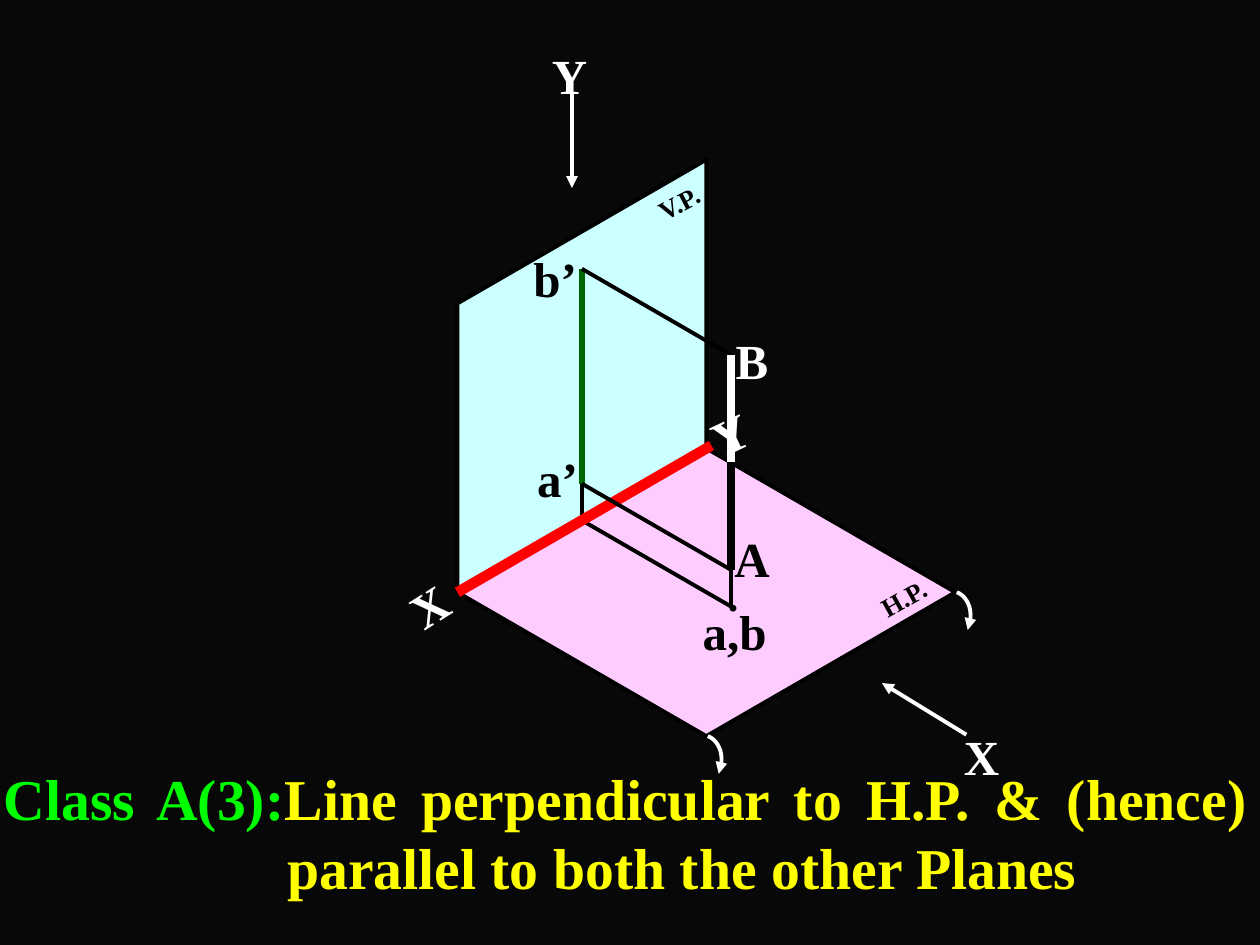
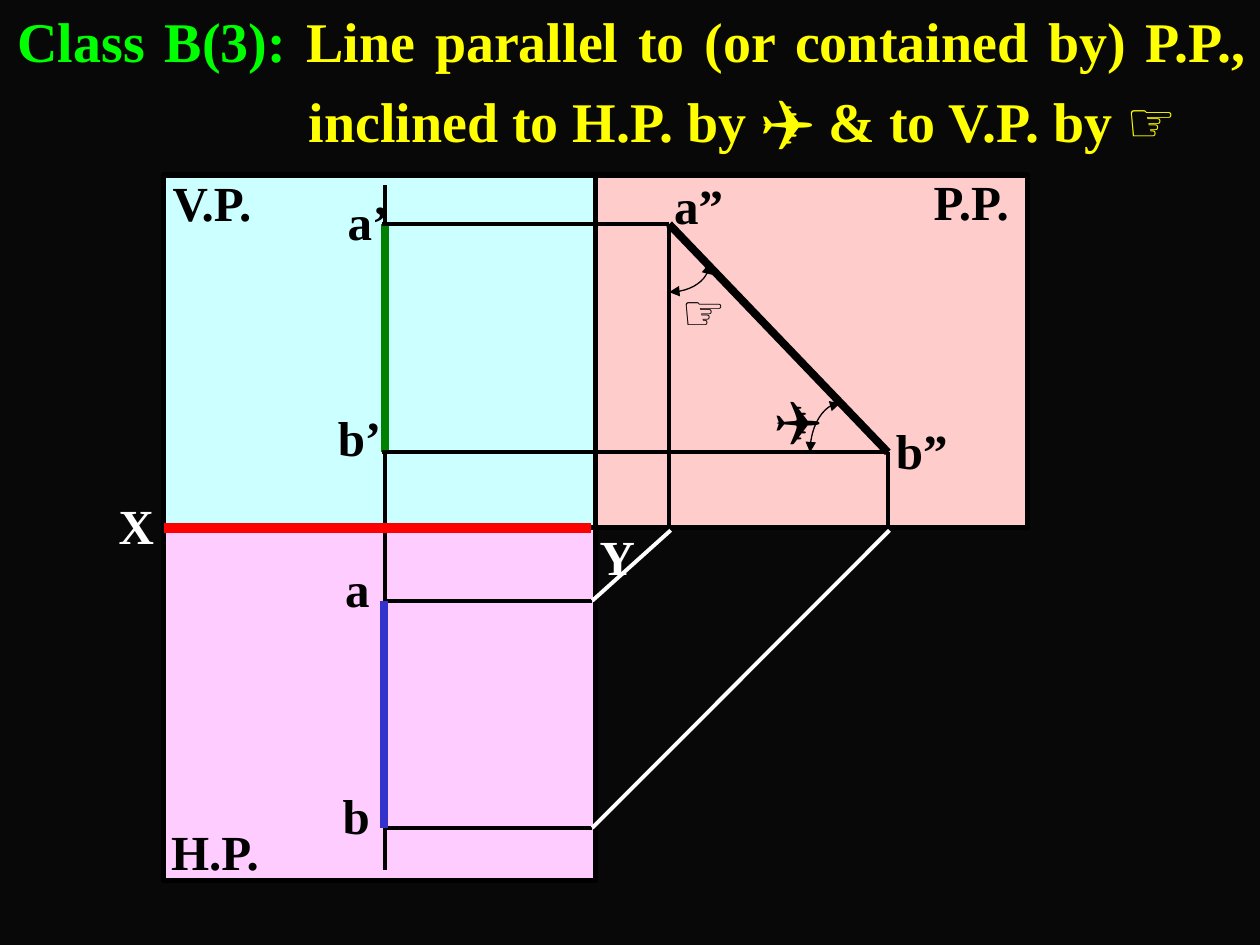
from lxml import etree
from pptx import Presentation
from pptx import util as u
from pptx.dml import color as dml
from pptx.enum import shapes, text
from pptx.oxml import ns

BLACK, WHITE, RED = "000000", "FFFFFF", "FF0000"
VP_FILL, HP_FILL, PP_FILL = "CCFFFF", "FFCCFF", "FFCCCC"
SERIF, SYMBOL = "Times New Roman", "Arial"
LABEL_W, LABEL_H = 2.6, 1.45
LABEL_FRAME = dict(margin_left=0, margin_right=0, margin_top=0, margin_bottom=0,
                   word_wrap=True, vertical_anchor=text.MSO_ANCHOR.MIDDLE)
TITLE_FRAME = dict(margin_left=u.Cm(0.25), margin_right=u.Cm(0.25),
                   margin_top=u.Cm(0.13), margin_bottom=u.Cm(0.13),
                   word_wrap=True, auto_size=text.MSO_AUTO_SIZE.NONE,
                   vertical_anchor=text.MSO_ANCHOR.TOP)


def rgb(code):
    return dml.RGBColor.from_string(code)


def apply(target, values):
    for name, value in values.items():
        setattr(target, name, value)


def place(shape, left, top, width, height):
    apply(shape, dict(left=u.Cm(left), top=u.Cm(top),
                      width=u.Cm(width), height=u.Cm(height)))


def style_font(font, size, color, name=SERIF):
    apply(font, dict(size=u.Pt(size), name=name, bold=True))
    font.color.rgb = rgb(color)


def style_line(shape, color, weight, arrows=()):
    """Colour the outline; arrows names the ends (headEnd, tailEnd) with a tip."""
    shape.line.color.rgb = rgb(color)
    shape.line.width = u.Pt(weight)
    outline = shape.line._get_or_add_ln()
    for end in arrows:
        etree.SubElement(outline, ns.qn("a:" + end), type="triangle")


def add_title(slide, box, size, indent, runs, spacing=1.0):
    """Runs are (words, colour, font); indent is (left margin, first line)."""
    title = slide.shapes.title
    place(title, *box)
    apply(title.text_frame, TITLE_FRAME)
    paragraph = title.text_frame.paragraphs[0]
    apply(paragraph, dict(alignment=text.PP_ALIGN.JUSTIFY, line_spacing=spacing))
    margin, first = indent
    properties = paragraph._p.get_or_add_pPr()
    properties.set("marL", str(u.Cm(margin)))
    properties.set("indent", str(u.Cm(first)))
    for words, color, name in runs:
        run = paragraph.add_run()
        run.text = words
        style_font(run.font, size, color, name)


class Drawing:
    """Draws on a slide in cm, measured from the corner it is given."""

    def __init__(self, slide, left, top):
        self.shapes = slide.shapes
        self.left, self.top = left, top

    def at(self, point):
        return u.Cm(self.left + point[0]), u.Cm(self.top + point[1])

    def line(self, start, end, color=BLACK, weight=2.25, arrows=()):
        connector = self.shapes.add_connector(
            shapes.MSO_CONNECTOR.STRAIGHT, *self.at(start), *self.at(end))
        style_line(connector, color, weight, arrows)
        etree.SubElement(connector._element.spPr, ns.qn("a:effectLst"))

    def outline(self, points, closed):
        start, *rest = [self.at(point) for point in points]
        builder = self.shapes.build_freeform(*start, scale=1.0)
        builder.add_line_segments(rest, close=closed)
        shape = builder.convert_to_shape()
        shape.shadow.inherit = False
        return shape

    def plane(self, corners, fill, weight):
        plane = self.outline(corners, True)
        plane.fill.solid()
        plane.fill.fore_color.rgb = rgb(fill)
        style_line(plane, BLACK, weight)

    def curve(self, controls, color, weight, arrows, steps=12):
        """Cubic Bézier curve through four control points."""
        points = []
        for step in range(steps + 1):
            t = step / steps
            weights = ((1 - t) ** 3, 3 * t * (1 - t) ** 2, 3 * t * t * (1 - t), t ** 3)
            points.append([sum(w * c[axis] for w, c in zip(weights, controls))
                           for axis in (0, 1)])
        arc = self.outline(points, False)
        arc.fill.background()
        style_line(arc, color, weight, arrows)

    def label(self, words, x, y, color=BLACK, size=28, turn=0, font=SERIF, centred=False):
        """Put words around height y, starting at x or centred on x."""
        left = x - LABEL_W / 2 if centred else x
        box = self.shapes.add_textbox(*self.at((left, y - LABEL_H / 2)),
                                      u.Cm(LABEL_W), u.Cm(LABEL_H))
        box.rotation = turn
        apply(box.text_frame, LABEL_FRAME)
        paragraph = box.text_frame.paragraphs[0]
        paragraph.alignment = text.PP_ALIGN.CENTER if centred else text.PP_ALIGN.LEFT
        run = paragraph.add_run()
        run.text = words
        style_font(run.font, size, color, font)


def iso(along, depth, height=0):
    """Along and depth are shares of the plane's sides, height is in cm."""
    return 5.02 * (along + depth), 2.9 * (depth - along) - height


def draw_planes_in_space(slide, left, top):
    """Pictorial view; left, top is the X end of the fold line."""
    view = Drawing(slide, left, top)
    vp_height, low, high = 5.82, 0.74, 5.07
    along, depth = 0.5, 0.6
    foot, plan = iso(along, 0), iso(along, depth)
    a_front, b_front = iso(along, 0, low), iso(along, 0, high)
    a_space, b_space = iso(along, depth, low), iso(along, depth, high)

    view.plane([iso(0, 0), iso(1, 0), iso(1, 1), iso(0, 1)], HP_FILL, 2.25)
    view.line(foot, plan)
    view.line(plan, a_space)
    view.plane([iso(0, 0), iso(1, 0), iso(1, 0, vp_height), iso(0, 0, vp_height)],
               VP_FILL, 2.25)
    view.line(b_front, a_front, "006600", 3)
    view.line(a_front, foot)
    view.line(iso(0, 0), iso(1.02, 0), RED, 6)
    view.line(b_space, b_front)
    view.line(a_space, a_front)
    view.line(b_space, a_space, BLACK, 4.5)
    view.line(b_space, (b_space[0], -2.62), WHITE, 4.5)

    for start, end in (((10.26, 2.87), (8.56, 1.83)), ((2.31, -10.06), (2.31, -8.15))):
        view.line(start, end, WHITE, arrows=["tailEnd"])
    swing = (0.03, 0), (0.28, 0.1), (0.38, 0.43), (0.25, 0.76)
    for x, y in (iso(0, 1), iso(1, 1)):
        view.curve([(x + dx, y + dy) for dx, dy in swing], WHITE, 2.25, ["tailEnd"])

    for words, x, y, color, size, turn in (
            ("H.P.", 8.99, 0.11, BLACK, 15, 330.8),
            ("V.P.", 4.46, -7.86, BLACK, 15, 332.2),
            ("a,b", 5.59, 0.77, BLACK, 28, 0),
            (".", 5.56, 0.05, BLACK, 24, 0),
            ("A", 5.94, -0.7, BLACK, 28, 0),
            ("B", 5.94, -4.69, WHITE, 28, 0),
            ("a’", 2.02, -2.3, BLACK, 28, 0),
            ("b’", 1.97, -6.34, BLACK, 28, 0),
            ("X", 10.57, 3.29, WHITE, 28, 0),
            ("Y", 2.26, -10.43, WHITE, 28, 0),
            ("Y", 5.49, -3.21, WHITE, 28, 334.7),
            ("X", -0.58, 0.27, WHITE, 28, 327.6)):
        view.label(words, x, y, color, size, turn, centred=True)


def draw_unfolded_planes(slide, left, top):
    """Three views side by side; left, top is the corner of the V.P."""
    view = Drawing(slide, left, top)
    width, height = 8.71, 7.11
    projector = 4.47
    a_front, b_front, a_top, b_top = 0.99, 5.59, 8.58, 13.16
    a_side, b_side = 10.19, 14.6

    for column, row, fill in ((0, 0, VP_FILL), (0, 1, HP_FILL), (1, 0, PP_FILL)):
        x, y = column * width, row * height
        view.plane([(x, y), (x + width, y), (x + width, y + height), (x, y + height)],
                   fill, 3)

    view.line((projector, 0.2), (projector, 14))
    view.line((0, height), (width - 0.1, height), RED, 6)
    view.line((projector, a_front), (projector, b_front), "008000", 4.5)
    for level in (a_top, b_top):
        view.line((projector, level), (width - 0.07, level))
    for level, side in ((a_top, a_side), (b_top, b_side)):
        view.line((width - 0.07, level), (side + 0.03, height + 0.05), WHITE)
    for level, side in ((a_front, a_side), (b_front, b_side)):
        view.line((projector - 0.07, level), (side, level))
        view.line((side, level), (side, height))
    view.line((a_side, a_front), (b_side, b_front), BLACK, 4.5)
    view.line((projector - 0.03, a_top), (projector - 0.03, b_top), "3333CC", 4.5)

    for angle in (((13.64, 4.6), (13.31, 4.6), (13.03, 5.05), (13.03, b_front)),
                  ((a_side, 2.36), (10.64, 2.36), (11, 2.11), (11, 1.78))):
        view.curve(angle, BLACK, 0.75, ["headEnd", "tailEnd"])

    for words, x, y in (("V.P.", 0.18, 0.55), ("H.P.", 0.15, 13.63), ("P.P.", 15.52, 0.52),
                        ("a’", 3.71, 0.93), ("b’", 3.51, 5.27), ("a", 3.66, 8.32),
                        ("b", 3.61, 12.89), ("b”", 14.76, 5.55), ("a”", 10.29, 0.6)):
        view.label(words, x, y)
    for words, x, y in (("X", -0.91, 7.05), ("Y", 8.79, 7.68)):
        view.label(words, x, y, WHITE)
    for words, x, y in (("✈", 12.32, 4.91), ("☞", 10.44, 2.73)):
        view.label(words, x, y, font=SYMBOL)


def main():
    lime, yellow = "00FF00", "FFFF00"
    prs = Presentation()
    prs.slide_width, prs.slide_height = u.Cm(25.4), u.Cm(19.05)
    background = prs.slide_master.background.fill
    background.solid()
    background.fore_color.rgb = rgb("080808")
    title_only = prs.slide_layouts[5]

    class_a = prs.slides.add_slide(title_only)
    add_title(class_a, (-0.18, 15.24, 25.58, 3.05), 33, (5.72, -5.72), [
        ("Class A(3):", lime, SERIF),
        ("Line perpendicular to H.P. & (hence) parallel to both the other Planes",
         yellow, SERIF)])
    draw_planes_in_space(class_a, 9.22, 11.94)

    class_b = prs.slides.add_slide(title_only)
    add_title(class_b, (-0.71, -0.28, 26.11, 3.51), 32, (6.68, -5.87), [
        ("Class B(3):", lime, SERIF),
        (" Line parallel to (or contained by) P.P., inclined to H.P. by ", yellow, SERIF),
        ("✈", yellow, SYMBOL),
        (" & to V.P. by ", yellow, SERIF),
        ("☞", yellow, SYMBOL)], spacing=1.2)
    draw_unfolded_planes(class_b, 3.3, 3.53)

    prs.save("out.pptx")


if __name__ == "__main__":
    main()
